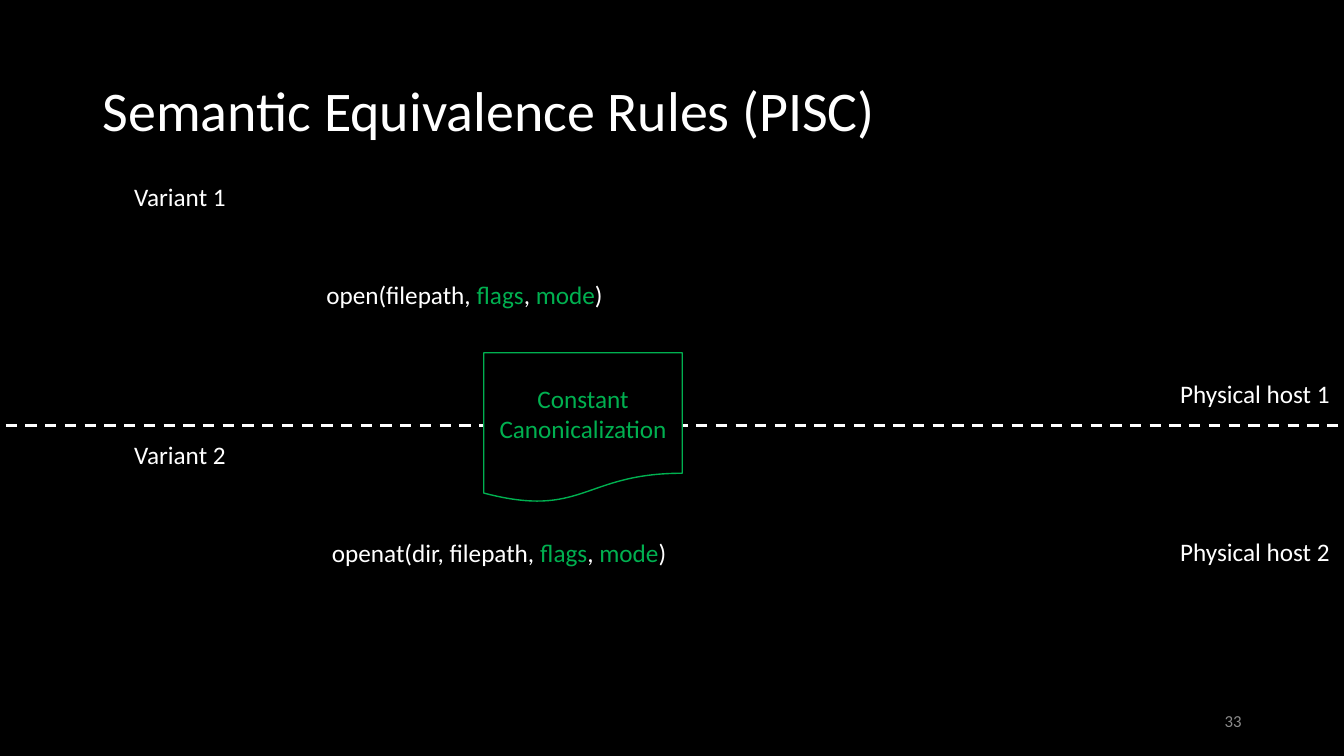
from lxml import etree
from pptx import Presentation
from pptx import util as u
from pptx.dml.color import RGBColor
from pptx.enum import dml, shapes, text
from pptx.oxml.ns import qn

Pt = u.Pt
FONT = "Calibri"
BLACK, WHITE, GREEN, GREY = "000000", "FFFFFF", "00B050", "8C8C8C"
VARIANT_STEP = 184.3
HOST_STEP = 113


def colour(value):
    return RGBColor.from_string(value)


def write(box, spans, size=18, align=text.PP_ALIGN.LEFT,
          anchor=text.MSO_ANCHOR.MIDDLE):
    """Fill a box with one paragraph of (wording, colour) spans."""
    frame = box.text_frame
    frame.word_wrap = True
    frame.auto_size = text.MSO_AUTO_SIZE.NONE
    frame.vertical_anchor = anchor
    para = frame.paragraphs[0]
    para.alignment = align
    for wording, shade in spans:
        span = para.add_run()
        span.text = wording
        span.font.name = FONT
        span.font.size = Pt(size)
        span.font.color.rgb = colour(shade)


def add_title(page, wording):
    title = page.shapes.title
    title.left, title.top, title.width, title.height = map(
        Pt, (66.2, 28.8, 828, 104.4))
    write(title, [(wording, WHITE)], size=40)
    title.text_frame.paragraphs[0].line_spacing = 0.9


def add_label(page, bounds, wording, shade=WHITE, **layout):
    box = page.shapes.add_textbox(*map(Pt, bounds))
    write(box, [(wording, shade)], **layout)


def add_block(page, bounds, spans, outline=None,
              kind=shapes.MSO_SHAPE.RECTANGLE, align=text.PP_ALIGN.CENTER):
    block = page.shapes.add_shape(kind, *map(Pt, bounds))
    block.shadow.inherit = False
    block.fill.solid()
    block.fill.fore_color.rgb = colour(BLACK)
    if outline:
        block.line.color.rgb = colour(outline)
        block.line.width = Pt(1)
    else:
        block.line.fill.background()
    write(block, spans, align=align)


def add_host_divider(page, left, right, y):
    divider = page.shapes.add_connector(
        shapes.MSO_CONNECTOR.STRAIGHT, Pt(left), Pt(y), Pt(right), Pt(y))
    divider.line.color.rgb = colour(WHITE)
    divider.line.width = Pt(2)
    divider.line.dash_style = dml.MSO_LINE.DASH
    etree.SubElement(divider._element.spPr, qn("a:effectLst"))


def add_call(page, top, width, opening):
    """Add a system call whose shared arguments are green."""
    spans = [(opening, WHITE), ("flags", GREEN), (", ", WHITE),
             ("mode", GREEN), (")", WHITE)]
    add_block(page, (226, top, width, 43.2), spans, outline=BLACK,
              align=text.PP_ALIGN.LEFT)


def main():
    deck = Presentation()
    deck.slide_width, deck.slide_height = Pt(960), Pt(540)
    page = deck.slides.add_slide(deck.slide_layouts[5])
    page.background.fill.solid()
    page.background.fill.fore_color.rgb = colour(BLACK)

    add_title(page, "Semantic Equivalence Rules (PISC)")
    add_label(page, (678, 500.5, 216, 28.8), "33", GREY, size=12,
              align=text.PP_ALIGN.RIGHT)

    calls = [("open(filepath, ", 319), (" openat(dir, filepath, ", 427.7)]
    for index, (opening, width) in enumerate(calls):
        number = index + 1
        shift = index * VARIANT_STEP
        add_call(page, 188.6 + shift, width, opening)
        add_block(page, (71.3, 123.8 + shift, 114.5, 32.4),
                  [(f"Variant {number}", WHITE)])
        add_label(page, (835.9, 266.4 + index * HOST_STEP, 124, 51),
                  f"Physical host {number}", anchor=text.MSO_ANCHOR.TOP)

    add_host_divider(page, -10, 984, 303.8)
    add_block(page, (345.6, 252, 141.8, 107.3),
              [("Constant Canonicalization", GREEN)], outline=GREEN,
              kind=shapes.MSO_SHAPE.FLOWCHART_DOCUMENT)
    deck.save("out.pptx")


if __name__ == "__main__":
    main()
